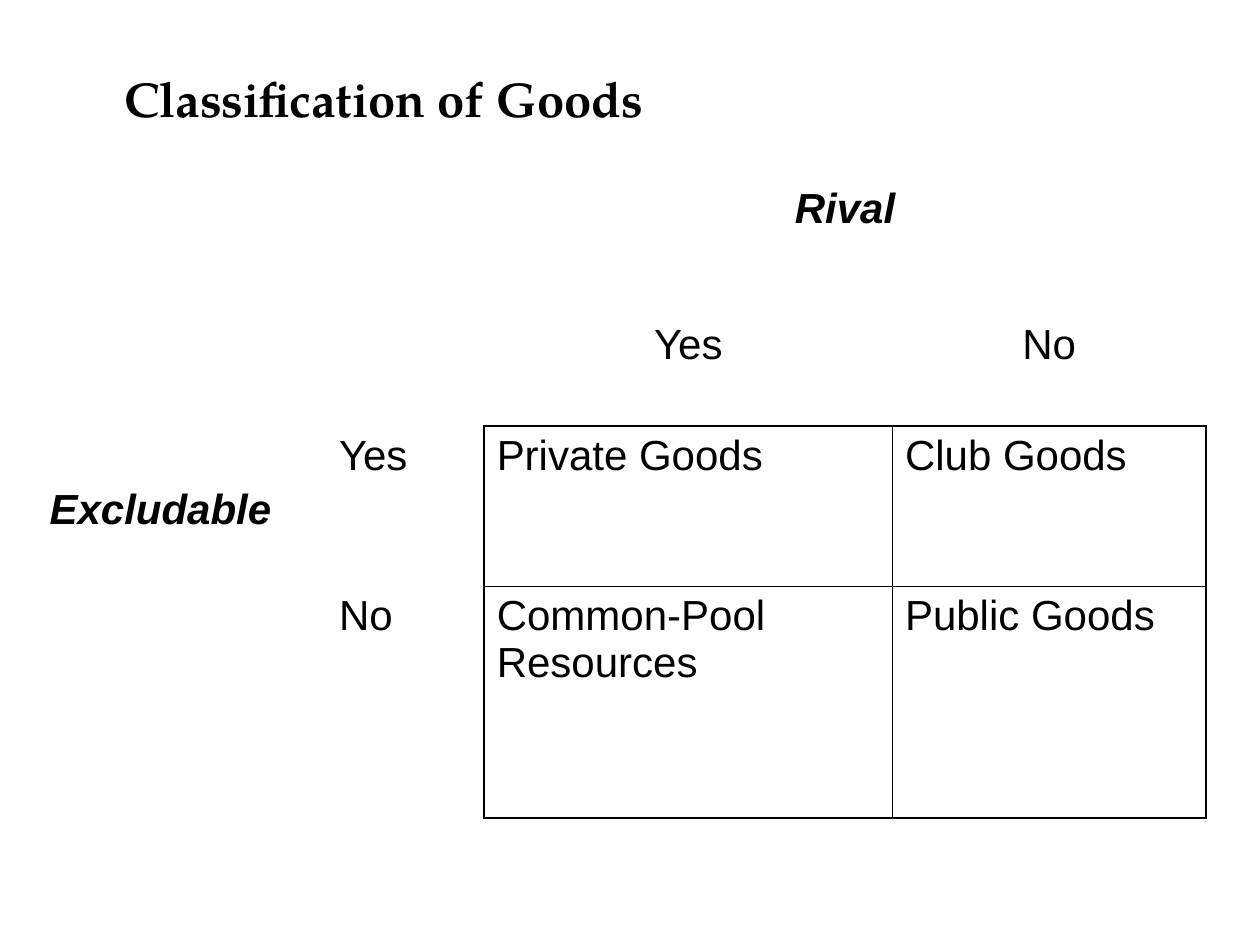
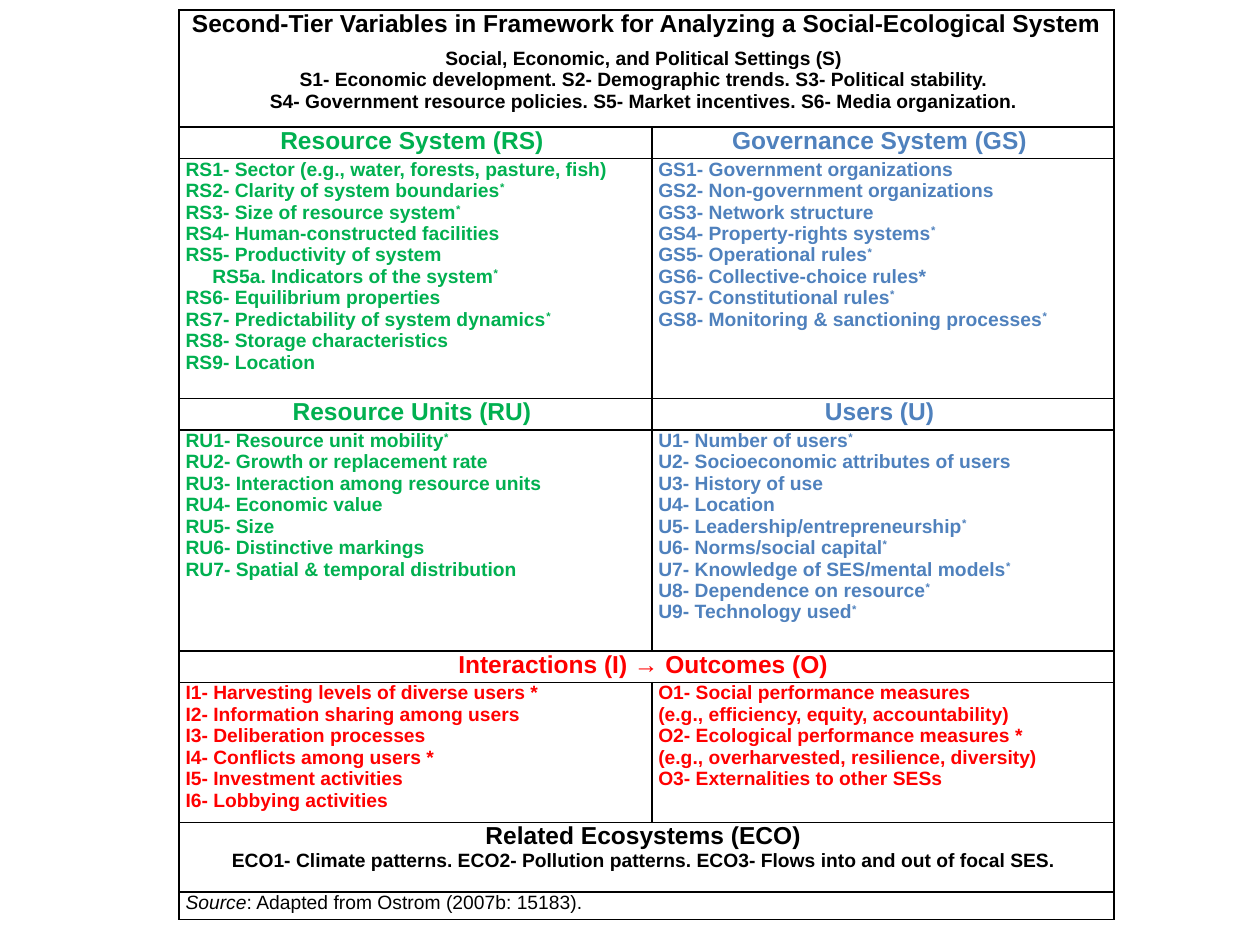
from lxml.etree import SubElement
from pptx import Presentation
from pptx.dml.color import RGBColor
from pptx.enum.text import MSO_ANCHOR, PP_ALIGN
from pptx.oxml.ns import qn
from pptx.util import Cm, Pt

BLACK = RGBColor(0x00, 0x00, 0x00)
GREEN = RGBColor(0x00, 0xB0, 0x50)
BLUE = RGBColor(0x4F, 0x81, 0xBD)
RED = RGBColor(0xFF, 0x00, 0x00)
BODY_FONT, TITLE_FONT = "Arial", "TeX Gyre Pagella"
NO_STYLE = "{2D5ABB26-0587-4C30-8999-92F81FD0307C}"

# Goods slide: cells as (row, column): (style, text)
GOODS_TITLE = "Classification of Goods"
GOODS_COLUMNS = [7.01, 3.18, 8.23, 6.32]
GOODS_ROWS = [2.74, 2.24, 3.23, 4.67]
GOODS_CELLS = {
    (0, 2): ("axis", "Rival"),
    (1, 2): ("answer", "Yes"),
    (1, 3): ("answer", "No"),
    (2, 0): ("side axis", "Excludable"),
    (2, 1): ("goods", "Yes"),
    (2, 2): ("goods", "Private Goods"),
    (2, 3): ("goods", "Club Goods"),
    (3, 1): ("goods", "No"),
    (3, 2): ("goods", "Common-Pool Resources"),
    (3, 3): ("goods", "Public Goods"),
}

# Framework slide: (height, cells); a cell is (colour, {style: lines}).
# "^" starts a superscript, and a single cell spans both columns.
FRAMEWORK_COLUMNS = [9.53, 9.32]
FRAMEWORK_ROWS = [
    (2.36, [(BLACK, {
        "heading": ["Second-Tier Variables in Framework for Analyzing a Social-Ecological System"],
        "subheading": ["Social, Economic, and Political Settings (S) "],
        "centred": [
            "S1- Economic development. S2- Demographic trends. S3- Political stability. ",
            "S4- Government resource policies. S5- Market incentives. S6- Media organization. ",
        ]})]),
    (0.64, [(GREEN, {"heading": ["Resource System (RS) "]}),
            (BLUE, {"heading": ["Governance System (GS) "]})]),
    (4.83, [
        (GREEN, {
            "list": [
                "RS1- Sector (e.g., water, forests, pasture, fish)",
                "RS2- Clarity of system boundaries^*",
                "RS3- Size of resource system^*",
                "RS4- Human-constructed facilities",
                "RS5- Productivity of system",
            ],
            "sublist": ["RS5a. Indicators of the system^*"],
            "list end": [
                "RS6- Equilibrium properties",
                "RS7- Predictability of system dynamics^*",
                "RS8- Storage characteristics",
                "RS9- Location",
            ]}),
        (BLUE, {"list": [
            "GS1- Government organizations",
            "GS2- Non-government organizations",
            "GS3- Network structure",
            "GS4- Property-rights systems^*",
            "GS5- Operational rules^*",
            "GS6- Collective-choice rules*",
            "GS7- Constitutional rules^*",
            "GS8- Monitoring & sanctioning processes^*",
        ]})]),
    (0.64, [(GREEN, {"heading": ["Resource Units (RU) "]}),
            (BLUE, {"heading": ["Users (U) "]})]),
    (4.45, [
        (GREEN, {"list": [
            "RU1- Resource unit mobility^*",
            "RU2- Growth or replacement rate",
            "RU3- Interaction among resource units",
            "RU4- Economic value",
            "RU5- Size",
            "RU6- Distinctive markings",
            "RU7- Spatial & temporal distribution",
        ]}),
        (BLUE, {"list": [
            "U1- Number of users^*",
            "U2- Socioeconomic attributes of users",
            "U3- History of use",
            "U4- Location",
            "U5- Leadership/entrepreneurship^*",
            "U6- Norms/social capital^*",
            "U7- Knowledge of SES/mental models^*",
            "U8- Dependence on resource^*",
            "U9- Technology used^*",
        ]})]),
    (0.64, [(RED, {"heading": ["Interactions (I) → Outcomes (O) "]})]),
    (2.82, [
        (RED, {"list": [
            "I1- Harvesting levels of diverse users *",
            "I2- Information sharing among users",
            "I3- Deliberation processes",
            "I4- Conflicts among users *",
            "I5- Investment activities",
            "I6- Lobbying activities",
        ]}),
        (RED, {"list": [
            "O1- Social performance measures",
            "(e.g., efficiency, equity, accountability)",
            "O2- Ecological performance measures *",
            "(e.g., overharvested, resilience, diversity)",
            "O3- Externalities to other SESs",
        ]})]),
    (1.4, [(BLACK, {
        "heading": ["Related Ecosystems (ECO) "],
        "centred": ["ECO1- Climate patterns. ECO2- Pollution patterns. "
                    "ECO3- Flows into and out of focal SES. "]})]),
    (0.56, [(BLACK, {"source": ["Source|: Adapted from Ostrom (2007b: 15183)."]})]),
]

# Text styles: (font values, paragraph values)
CENTRE = {"alignment": PP_ALIGN.CENTER}
LEFT = {"alignment": PP_ALIGN.LEFT}
LARGE = {"size": Pt(24), "bold": False}
AXIS = {"size": Pt(24), "bold": True, "italic": True}
SMALL = {"size": Pt(11), "bold": True}
STYLES = {
    "axis": (AXIS, CENTRE),
    "side axis": (AXIS, LEFT),
    "answer": (LARGE, CENTRE),
    "goods": (LARGE, LEFT),
    "heading": ({"size": Pt(14), "bold": True}, CENTRE),
    "subheading": (SMALL, CENTRE | {"space_before": Pt(6)}),
    "centred": (SMALL, CENTRE),
    "list": (SMALL, LEFT),
    "sublist": (SMALL, LEFT),
    "list end": (SMALL, LEFT),
    "source": ({"size": Pt(11), "bold": False}, LEFT),
}
SUBLIST_INDENT = Cm(0.54)


def apply(target, values):
    for name, value in values.items():
        setattr(target, name, value)


def add_span(paragraph, text, font_values, colour):
    span = paragraph.add_run()
    span.text = text
    apply(span.font, {"name": BODY_FONT} | font_values)
    span.font.color.rgb = colour
    return span


def write_line(paragraph, text, style, colour):
    """Write one line; "|" ends an italic lead, "^" starts a superscript."""
    font_values, paragraph_values = STYLES[style]
    apply(paragraph, paragraph_values)
    if style == "sublist":
        paragraph._p.get_or_add_pPr().set("marL", str(SUBLIST_INDENT))
    if "|" in text:
        lead, text = text.split("|")
        add_span(paragraph, lead, font_values | {"italic": True}, colour)
    base, _, raised = text.partition("^")
    add_span(paragraph, base, font_values, colour)
    if raised:
        span = add_span(paragraph, raised, font_values, colour)
        span._r.get_or_add_rPr().set("baseline", "30000")


def fill_cell(cell, colour, groups):
    lines = [(style, text) for style, texts in groups.items() for text in texts]
    for index, (style, text) in enumerate(lines):
        frame = cell.text_frame
        paragraph = frame.add_paragraph() if index else frame.paragraphs[0]
        write_line(paragraph, text, style, colour)


def add_borders(cell):
    properties = cell._tc.get_or_add_tcPr()
    for side in ("lnL", "lnR", "lnT", "lnB"):
        line = SubElement(properties, qn(f"a:{side}"), w=str(Pt(1)))
        fill = SubElement(line, qn("a:solidFill"))
        SubElement(fill, qn("a:srgbClr"), val=str(BLACK))


def add_grid(page, left, top, columns, rows, bordered):
    """Add a plain table; bordered(row, column) tells which cells are framed."""
    frame = page.shapes.add_table(len(rows), len(columns), Cm(left), Cm(top),
                                  Cm(sum(columns)), Cm(sum(rows)))
    table = frame.table
    table.first_row = table.horz_banding = False
    next(table._tbl.iter(qn("a:tableStyleId"))).text = NO_STYLE
    for column, width in zip(table.columns, columns):
        column.width = Cm(width)
    for r, height in enumerate(rows):
        table.rows[r].height = Cm(height)
        for c in range(len(columns)):
            cell = table.cell(r, c)
            if bordered(r, c):
                add_borders(cell)
            cell.fill.background()
    return table


def build_goods(deck):
    page = deck.slides.add_slide(deck.slide_layouts[5])

    # Title
    title = page.shapes.title
    apply(title, {"left": Cm(1.68), "top": Cm(1.02), "width": Cm(21.59), "height": Cm(1.9)})
    frame = title.text_frame
    apply(frame, {"margin_left": Cm(0.82), "vertical_anchor": MSO_ANCHOR.MIDDLE,
                  "word_wrap": True})
    paragraph = frame.paragraphs[0]
    paragraph.alignment = PP_ALIGN.LEFT
    add_span(paragraph, GOODS_TITLE,
             {"name": TITLE_FONT, "size": Pt(28), "bold": True}, BLACK)

    # Two-by-two matrix with its axis labels
    table = add_grid(page, -0.43, 3.61, GOODS_COLUMNS, GOODS_ROWS,
                     lambda r, c: r >= 2 and c >= 2)
    table.cell(0, 2).merge(table.cell(0, 3))
    table.cell(2, 0).merge(table.cell(3, 0))
    for (r, c), (style, text) in GOODS_CELLS.items():
        fill_cell(table.cell(r, c), BLACK, {style: [text]})
    apply(table.cell(2, 0), {"margin_left": Cm(1.43), "margin_top": Cm(1.22)})


def build_framework(deck):
    page = deck.slides.add_slide(deck.slide_layouts[6])
    heights = [height for height, _ in FRAMEWORK_ROWS]
    table = add_grid(page, 3.61, 0.2, FRAMEWORK_COLUMNS, heights, lambda r, c: True)
    for r, (_, cells) in enumerate(FRAMEWORK_ROWS):
        if len(cells) == 1:
            table.cell(r, 0).merge(table.cell(r, 1))
        for c, (colour, groups) in enumerate(cells):
            cell = table.cell(r, c)
            apply(cell, {"margin_left": Cm(0.13), "margin_right": Cm(0.13),
                         "margin_top": 0, "margin_bottom": 0})
            fill_cell(cell, colour, groups)


def main():
    deck = Presentation()
    deck.slide_width, deck.slide_height = Cm(25.4), Cm(19.05)
    build_goods(deck)
    build_framework(deck)
    deck.save("out.pptx")


if __name__ == "__main__":
    main()
